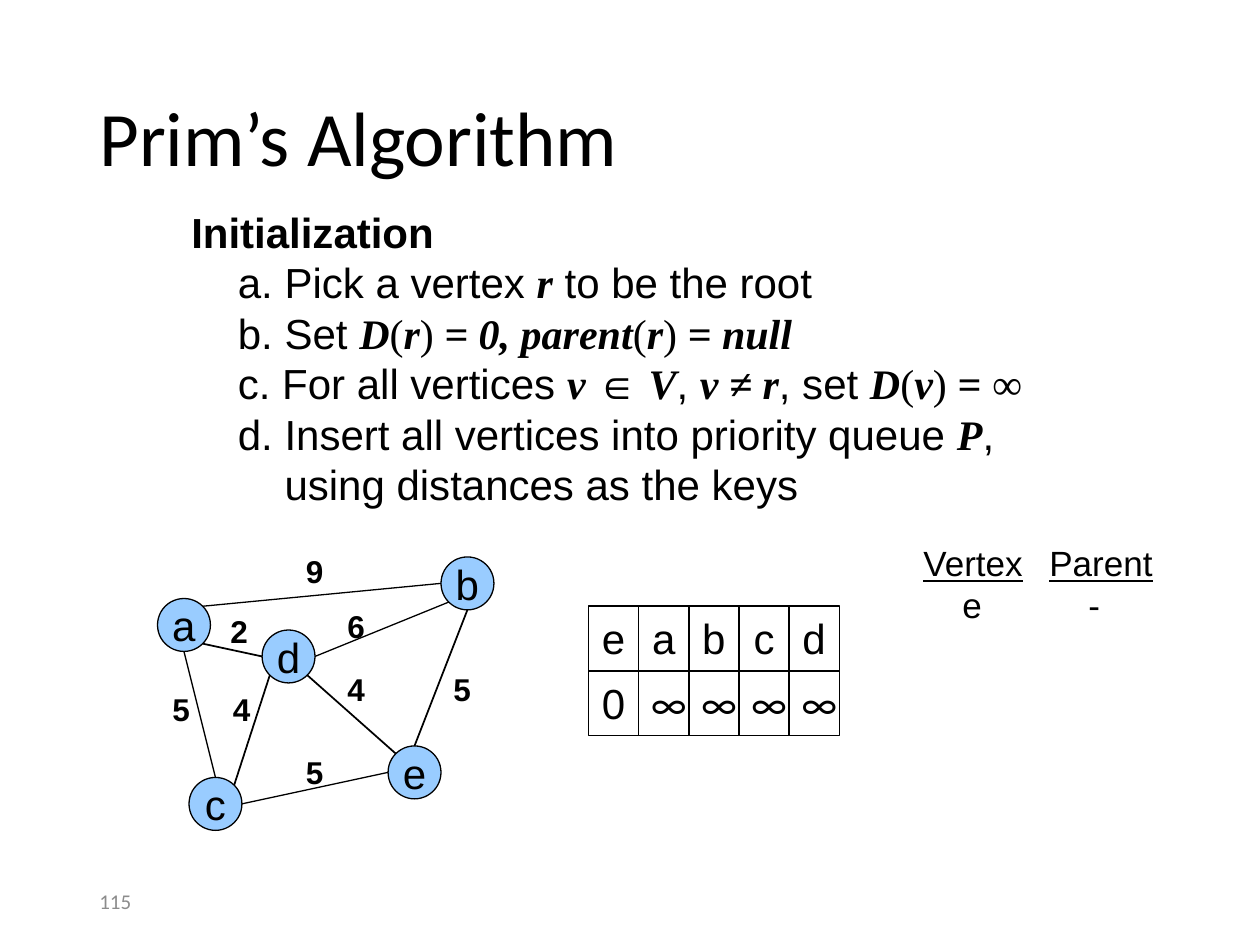
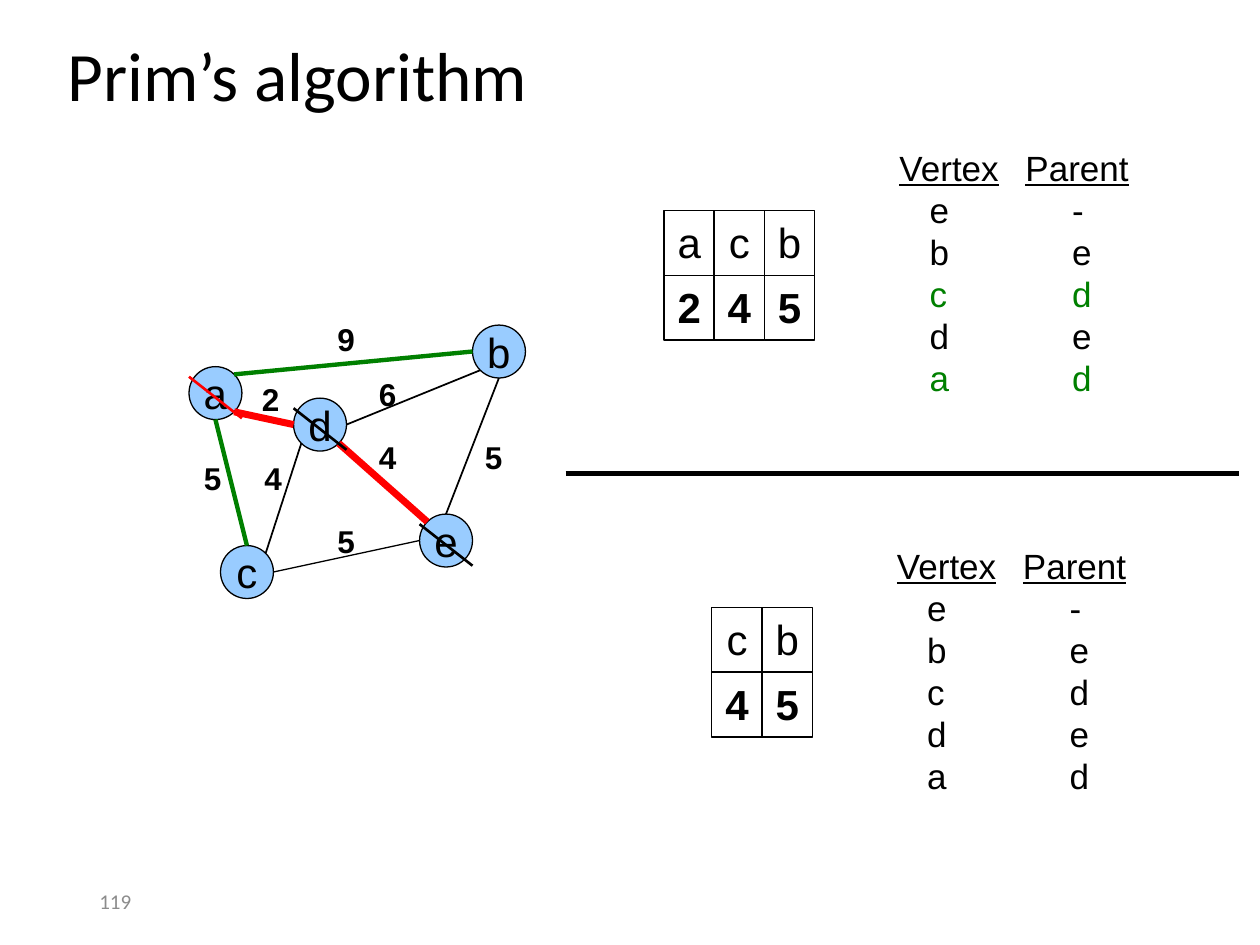
import math

import pptx
import pptx.dml.color
import pptx.enum.shapes
import pptx.enum.text
import pptx.oxml
import pptx.util
from pptx.util import Inches

BLACK, GREY, GREEN, RED, NODE_BLUE = "000000", "8C8C8C", "008000", "FF0000", "99CCFF"
SANS, SERIF, TITLE_FONT = "Arial", "Times New Roman", "Calibri"

VAR = {"font": SERIF, "bold": True, "italic": True}
IN_SET = {"font": SERIF, "bold": True}
PAREN = {"font": SERIF}

INITIALIZATION = [
    [("Initialization", {"bold": True})],
    ["\ta. Pick a vertex ", ("r", VAR), " to be the root"],
    ["\tb. Set ", ("D", VAR), ("(", PAREN), ("r", VAR), (")", PAREN), (" = 0, parent", VAR),
     ("(", PAREN), ("r", VAR), (")", PAREN), (" = null", VAR)],
    ["\tc. For all vertices ", ("v ", VAR), ("∈", IN_SET), (" V", VAR), ", ", ("v ≠ r", VAR),
     ", set ", ("D", VAR), ("(", PAREN), ("v", VAR), (")", PAREN), (" = ∞", VAR)],
    ["\td. Insert all vertices into priority queue ", ("P", VAR), ","],
    ["\t\tusing distances as the keys"],
]

DIAMETER = 0.42
NODES = {"a": (0, 0.33), "c": (0.25, 1.75), "e": (1.83, 1.5), "d": (0.83, 0.58), "b": (2.25, 0)}
COMPASS = ["E", "SE", "S", "SW", "W", "NW", "N", "NE"]
EDGES = [
    ("a", "NE", "b", "W", "9", (1.08, -0.09)),
    ("d", "E", "b", "SW", "6", (1.41, 0.35)),
    ("a", "S", "c", "N", "5", (0.02, 1.01)),
    ("a", "SE", "d", "W", "2", (0.48, 0.39)),
    ("c", "NE", "d", "SW", "4", (0.5, 1.01)),
    ("d", "SE", "e", "NW", "4", (1.41, 0.85)),
    ("b", "S", "e", "N", "5", (2.25, 0.85)),
    ("e", "W", "c", "E", "5", (1.08, 1.51)),
]
START_STYLES = {"ab": (BLACK, 0.75), "db": (BLACK, 0.75), "ac": (BLACK, 0.75), "ec": (BLACK, 0.75)}
STEP_STYLES = {"ab": (GREEN, 2.5), "ac": (GREEN, 2.5), "ad": (RED, 4), "de": (RED, 4),
               "ec": (BLACK, 0.75)}
STRIKES = [("e", BLACK), ("a", RED), ("d", BLACK)]

TREE = [("e", "-"), ("b", "e"), ("c", "d"), ("d", "e"), ("a", "d")]
CELL_W, CELL_H = 0.4, 0.515


def rgb(color):
    return pptx.dml.color.RGBColor.from_string(color)


def write(tf, paragraphs, size=24, font=SANS, color=BLACK, bold=False, align="LEFT",
          anchor="TOP", wrap=False, spacing=None, tabs=()):
    tf.word_wrap = wrap
    tf.vertical_anchor = getattr(pptx.enum.text.MSO_ANCHOR, anchor)
    for i, runs in enumerate(paragraphs):
        p = tf.paragraphs[0] if i == 0 else tf.add_paragraph()
        p.alignment = getattr(pptx.enum.text.PP_ALIGN, align)
        if spacing:
            p.line_spacing = spacing
        if tabs:
            tab_list = pptx.oxml.parse_xml(
                '<a:tabLst xmlns:a="http://schemas.openxmlformats.org/drawingml/2006/main">'
                + "".join(f'<a:tab pos="{Inches(t)}" algn="l"/>' for t in tabs) + "</a:tabLst>")
            p._p.get_or_add_pPr().append(tab_list)
        for run in [runs] if isinstance(runs, str) else runs:
            text, own = (run, {}) if isinstance(run, str) else run
            r = p.add_run()
            r.text = text
            r.font.size = pptx.util.Pt(size)
            r.font.name = own.get("font", font)
            r.font.bold = own.get("bold", bold)
            r.font.italic = own.get("italic", False)
            r.font.underline = own.get("underline", False)
            r.font.color.rgb = rgb(own.get("color", color))


def text_box(s, box, paragraphs, **fmt):
    sp = s.shapes.add_textbox(*map(Inches, box))
    write(sp.text_frame, paragraphs, **fmt)


def labelled_shape(s, kind, box, label, fill=None, **fmt):
    sp = s.shapes.add_shape(getattr(pptx.enum.shapes.MSO_SHAPE, kind), *map(Inches, box))
    sp.shadow.inherit = False
    if fill:
        sp.fill.solid()
        sp.fill.fore_color.rgb = rgb(fill)
    else:
        sp.fill.background()
    sp.line.color.rgb = rgb(BLACK)
    sp.line.width = pptx.util.Pt(0.75)
    write(sp.text_frame, [label], align="CENTER", **fmt)


def line(s, start, end, color, width):
    cx = s.shapes.add_connector(pptx.enum.shapes.MSO_CONNECTOR.STRAIGHT,
                                *map(Inches, (*start, *end)))
    cx.line.color.rgb = rgb(color)
    cx.line.width = pptx.util.Pt(width)
    cx._element.spPr.append(pptx.oxml.parse_xml(
        '<a:effectLst xmlns:a="http://schemas.openxmlformats.org/drawingml/2006/main"/>'))


def graph(s, left, top, styles):
    def site(node, direction):
        x, y = NODES[node]
        angle = COMPASS.index(direction) * math.pi / 4
        radius = DIAMETER / 2
        return (left + x + radius * (1 + math.cos(angle)),
                top + y + radius * (1 + math.sin(angle)))

    for name, (x, y) in NODES.items():
        labelled_shape(s, "OVAL", (left + x, top + y, DIAMETER, DIAMETER), name,
                       fill=NODE_BLUE, anchor="MIDDLE")
    for u, u_side, v, v_side, _, _ in EDGES:
        line(s, site(u, u_side), site(v, v_side), *styles.get(u + v, (BLACK, 1)))
    for *_, weight, (x, y) in EDGES:
        text_box(s, (left + x, top + y, 0.34, 0.4), [weight], size=18, bold=True)


def strike_out(s, left, top):
    for name, color in STRIKES:
        x, y = left + NODES[name][0], top + NODES[name][1] + 0.08
        line(s, (x, y), (x + DIAMETER, y + 0.33), color, 1.5)


def queue(s, left, top, names, keys, bold=False):
    for row, values in enumerate((names, keys)):
        for col, value in enumerate(values):
            box = (left + col * 0.398, top + row * CELL_H, CELL_W, CELL_H)
            labelled_shape(s, "RECTANGLE", box, value, wrap=True, bold=bold and row == 1,
                           font=TITLE_FONT if value == "∞" else SANS)


def parent_list(s, left, top, rows, tabs, added=""):
    paragraphs = [[("Vertex\tParent", {"underline": True})]]
    for vertex, parent in rows:
        color = GREEN if vertex in added else BLACK
        paragraphs.append([(f"\t{vertex}\t\t{parent}", {"color": color})])
    text_box(s, (left, top, 2.02, 0.1 + len(paragraphs) / 3), paragraphs, size=20, tabs=tabs)


def new_slide(prs, title, title_box, title_size, number):
    s = prs.slides.add_slide(prs.slide_layouts[6])
    text_box(s, (0.69, 6.95, 2.25, 0.4), [number], size=12, font=TITLE_FONT, color=GREY,
             anchor="MIDDLE", wrap=True)
    text_box(s, title_box, [title], size=title_size, font=TITLE_FONT, anchor="MIDDLE",
             wrap=True, spacing=0.9)
    return s


def main():
    prs = pptx.Presentation()
    prs.slide_width, prs.slide_height = Inches(10), Inches(7.5)

    s = new_slide(prs, "Prim’s Algorithm", (0.69, 0.4, 8.62, 1.45), 44, "115")
    text_box(s, (1.42, 1.59, 7.17, 2.5), INITIALIZATION, wrap=True, tabs=(0.37, 0.74))
    graph(s, 1.25, 4.42, START_STYLES)
    queue(s, 4.67, 4.81, "eabcd", "0∞∞∞∞")
    parent_list(s, 7.23, 4.25, TREE[:1], (0.31, 1, 1.31))

    s = new_slide(prs, "Prim’s algorithm", (0.44, 0.25, 9.56, 0.75), 39.6, "119")
    graph(s, 1.5, 2.58, STEP_STYLES)
    strike_out(s, 1.5, 2.58)
    line(s, (4.49, 3.76), (9.83, 3.76), BLACK, 3)
    queue(s, 5.27, 1.67, "acb", "245", bold=True)
    parent_list(s, 7.04, 1.11, TREE, (0.24, 1, 1.37), added="ca")
    queue(s, 5.65, 4.82, "cb", "45", bold=True)
    parent_list(s, 7.02, 4.27, TREE, (0.24, 1, 1.37))

    prs.save("out.pptx")


if __name__ == "__main__":
    main()
